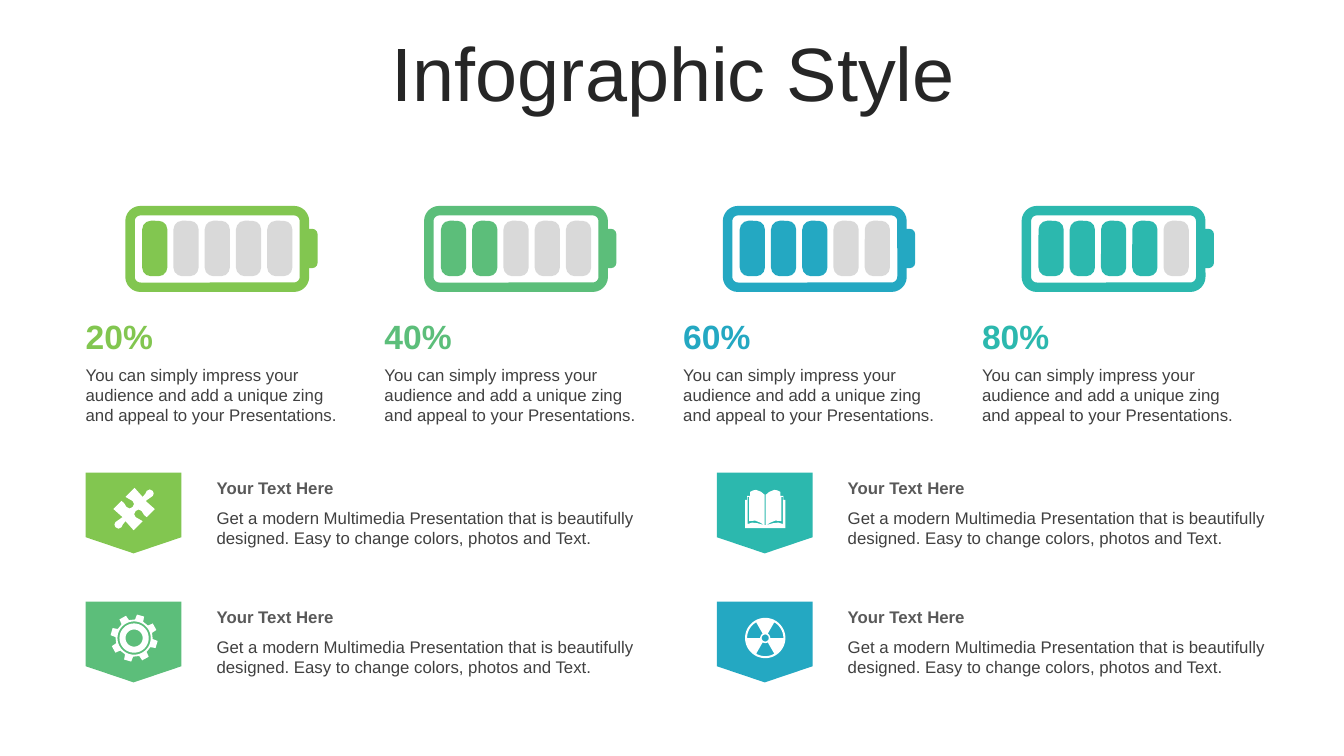
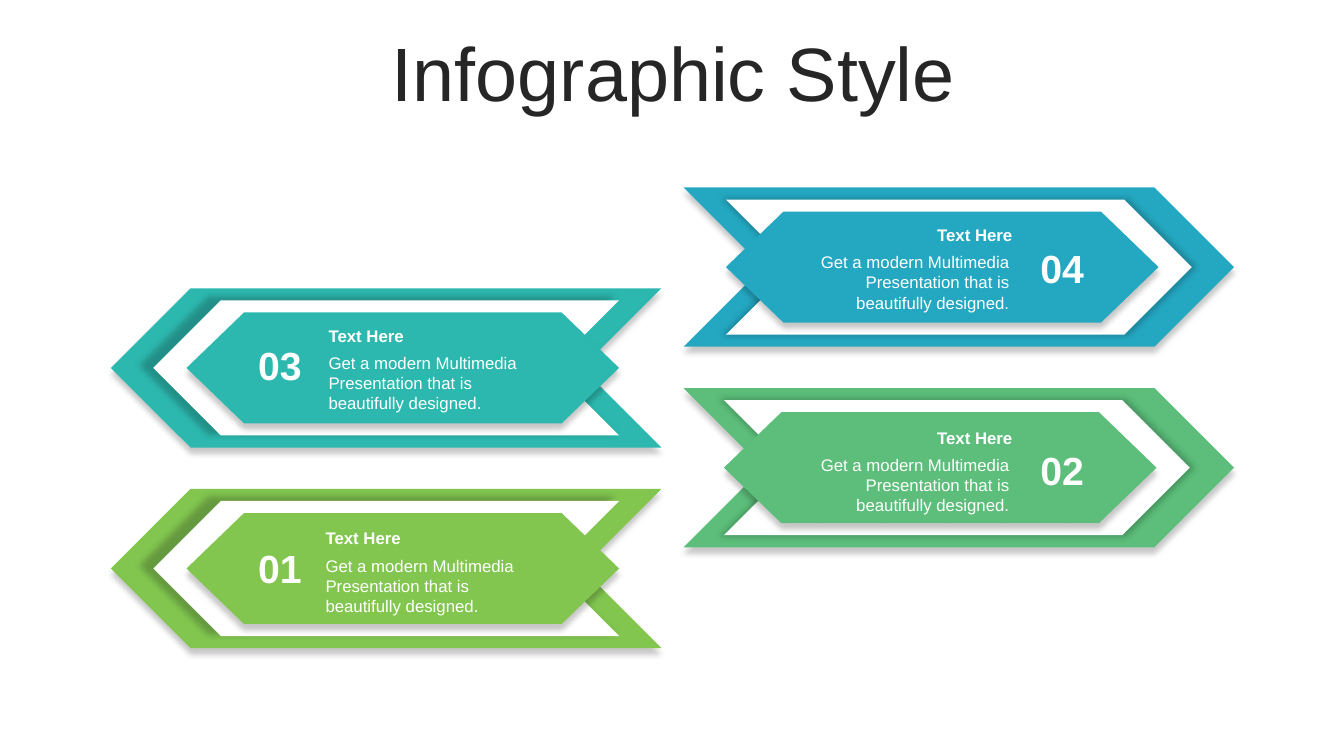
from math import cos, sin, radians
from lxml.etree import SubElement
from pptx import Presentation
from pptx.dml.color import RGBColor as Rgb
from pptx.enum.shapes import MSO_SHAPE as Kind
from pptx.enum.text import MSO_ANCHOR as Anchor, PP_ALIGN as Align
from pptx.oxml.ns import qn
from pptx.util import Inches, Pt

LIME = Rgb(0x82, 0xC6, 0x50)
GREEN = Rgb(0x5C, 0xBE, 0x7A)
BLUE = Rgb(0x24, 0xA8, 0xC2)
TEAL = Rgb(0x2C, 0xB8, 0xAE)
WHITE = Rgb(0xFF, 0xFF, 0xFF)
PALE = Rgb(0xD9, 0xD9, 0xD9)
INK = Rgb(0x26, 0x26, 0x26)
BODY = Rgb(0x40, 0x40, 0x40)
HEAD = Rgb(0x59, 0x59, 0x59)

DROP = {"blurRad": Pt(4), "dist": Pt(4), "dir": 5400000, "algn": "t"}
GLOW = {"blurRad": Pt(5), "sx": 102000, "sy": 102000, "algn": "ctr"}

IMPRESS = ("You can simply impress your audience and add a unique zing "
           "and appeal to your Presentations.")
MODERN = "Get a modern Multimedia Presentation that is beautifully designed."
DETAIL = MODERN + " Easy to change colors, photos and Text."


def arc(size, start=0, end=360, step=6):
    return [(size * cos(radians(a)), size * sin(radians(a)))
            for a in range(start, end + 1, step)]


def gear():
    teeth = []
    for mid in range(16, 376, 45):
        for turn, size in ((-13, 18.5), (-9, 23.5), (9, 23.5), (13, 18.5)):
            teeth += arc(size, mid + turn, mid + turn)
    return [teeth, arc(16.5), arc(14.5), arc(8.5)]


def hazard():
    blades = [arc(18, a, a + 60) + arc(5, a, a + 60)[::-1]
              for a in (60, 180, 300)]
    return [arc(20), arc(3.5)] + blades


def mirror(half):
    return half + [(-x, y) for x, y in reversed(half)]


def book():
    cover = mirror([(0.5, -14), (4, -17), (9, -19), (12, -18.5), (15, -17),
                    (15, -13), (18, -13), (18, -9), (20, -9), (20, 19)])
    edge = [(16, -12), (17.5, -12), (17.5, 15), (13, 13.5), (8, 14), (1, 16),
            (5, 13.5), (10, 11.5), (16, 12)]
    spine = mirror([(0.5, -14), (0.5, 16)])
    return [cover, edge, [(-x, y) for x, y in edge], spine]


def puzzle():
    half = [(18.5, -18), (19.5, -15.5), (18.5, -13), (15, -10.5), (11.5, -8),
            (20.5, 0), (12.5, 8), (10, 6), (7.5, 2), (4.5, 0.5), (1.5, 2),
            (0, 5), (1.5, 8), (5, 10), (8.5, 12), (-0.5, 21), (-8.5, 12),
            (-11, 15), (-12.5, 18), (-15.5, 19.5)]
    return [half + [(-x, -y) for x, y in half]]


class Deck:
    font = "Arial"

    def __init__(self):
        self.show = Presentation()
        self.show.slide_width = Inches(13.33)
        self.show.slide_height = Inches(7.5)

    def page(self, title):
        slide = self.show.slides.add_slide(self.show.slide_layouts[6])
        self.shapes = slide.shapes
        para = self.text(title, (0.35, 0.37, 12.66, 0.79), 54, INK,
                         align=Align.CENTER, anchor=Anchor.MIDDLE)
        para.line_spacing = 0.9

    def text(self, words, box, size, color, bold=False, align=Align.LEFT,
             anchor=Anchor.TOP, left=0.1):
        frame = self.shapes.add_textbox(*map(Inches, box)).text_frame
        frame.word_wrap = True
        frame.vertical_anchor = anchor
        frame.margin_left = Inches(left)
        para = frame.paragraphs[0]
        para.text = words
        para.alignment = align
        font = para.font
        font.name, font.size, font.bold = self.font, Pt(size), bold
        font.color.rgb = color
        return para

    def paint(self, shape, fill):
        shape.shadow.inherit = False
        shape.fill.solid()
        shape.fill.fore_color.rgb = fill
        shape.line.fill.background()

    def shape(self, kind, box, fill, adjust=(), turn=0, shade=None):
        shape = self.shapes.add_shape(kind, *map(Inches, box))
        self.paint(shape, fill)
        for i, value in enumerate(adjust):
            shape.adjustments[i] = value
        shape.rotation = turn
        if shade:
            effects = shape._element.spPr.find(qn("a:effectLst"))
            cast = SubElement(effects, qn("a:outerShdw"), rotWithShape="0")
            for key, value in shade.items():
                cast.set(key, str(value))
            tint = SubElement(cast, qn("a:srgbClr"), val="000000")
            SubElement(tint, qn("a:alpha"), val="22000")
        return shape

    def icon(self, x, y, loops):
        loops = [[(100 * a, 100 * b) for a, b in loop] for loop in loops]
        pen = self.shapes.build_freeform(*loops[0][0], scale=Inches(1) / 10000)
        for i, loop in enumerate(loops):
            if i:
                pen.move_to(*loop[0])
            pen.add_line_segments(loop[1:], close=True)
        self.paint(pen.convert_to_shape(Inches(x), Inches(y)), WHITE)

    def charge(self, x, level, color):
        case = self.shape(Kind.ROUNDED_RECTANGLE, (x + 0.44, 2.09, 1.73, 0.76),
                          WHITE, [0.136])
        case.fill.background()
        case.line.color.rgb = color
        case.line.width = Pt(6.75)
        self.shape(Kind.ROUNDED_RECTANGLE, (x + 2.15, 2.27, 0.15, 0.39),
                   color, [0.356])
        for i in range(5):
            self.shape(Kind.ROUNDED_RECTANGLE,
                       (x + 0.56 + 0.31 * i, 2.19, 0.25, 0.55),
                       color if i < level else PALE, [0.348])
        self.text(f"{level * 20}%", (x, 3.08, 2.74, 0.5), 24, color, True,
                  anchor=Anchor.MIDDLE, left=0)
        self.text(IMPRESS, (x, 3.57, 2.74, 0.71), 12, BODY, left=0)

    def badge(self, x, y, color, loops):
        self.shape(Kind.FLOWCHART_OFFPAGE_CONNECTOR, (x, y, 0.95, 0.8), color)
        self.icon(x + 0.48, y + 0.36, loops)
        self.text("Your Text Here", (x + 1.2, y, 4.43, 0.3), 12, HEAD, True)
        self.text(DETAIL, (x + 1.2, y + 0.3, 4.47, 0.5), 12, BODY)

    def arrow(self, number, y, color, right, inset, text_x, drop):
        x, turn = (6.78, 0) if right else (1.1, 180)
        layers = ((Kind.CHEVRON, 0, 5.46, 1.58, color, (), DROP),
                  (Kind.CHEVRON, inset, 4.62, 1.34, WHITE, (), GLOW),
                  (Kind.HEXAGON, inset, 4.29, 1.1, color, (0.518, 1.155), DROP))
        for kind, gap, wide, high, fill, adjust, shade in layers:
            left = x + (gap if right else 5.46 - gap - wide)
            self.shape(kind, (left, y + (1.58 - high) / 2, wide, high),
                       fill, adjust, turn, shade)
        top = y + drop
        num_x, num_y = (10.18, 0.19) if right else (2.42, 0.16)
        side = Align.RIGHT if right else Align.LEFT
        self.text(number, (num_x, top + num_y, 0.71, 0.57), 28, WHITE, True,
                  Align.CENTER)
        self.text(MODERN, (text_x, top + 0.27, 2.38, 0.71), 12, WHITE,
                  align=side)
        self.text("Text Here", (text_x, top, 2.41, 0.3), 12, WHITE, True, side)


def main():
    deck = Deck()
    deck.page("Infographic Style")
    for i, color in enumerate((LIME, GREEN, BLUE, TEAL)):
        deck.charge(0.85 + 8.89 / 3 * i, i + 1, color)
    cards = ((LIME, puzzle), (TEAL, book), (GREEN, gear), (BLUE, hazard))
    for i, (color, draw) in enumerate(cards):
        row, col = divmod(i, 2)
        deck.badge(0.85 + 6.26 * col, 4.69 + 1.28 * row, color, draw())

    deck.page("Infographic Style")
    deck.arrow("04", 1.86, BLUE, True, 0.42, 7.73, 0.32)
    deck.arrow("02", 3.85, GREEN, True, 0.4, 7.73, 0.34)
    deck.arrow("03", 2.86, TEAL, False, 0.42, 3.16, 0.32)
    deck.arrow("01", 4.85, LIME, False, 0.42, 3.13, 0.34)
    deck.show.save("out.pptx")


if __name__ == "__main__":
    main()
